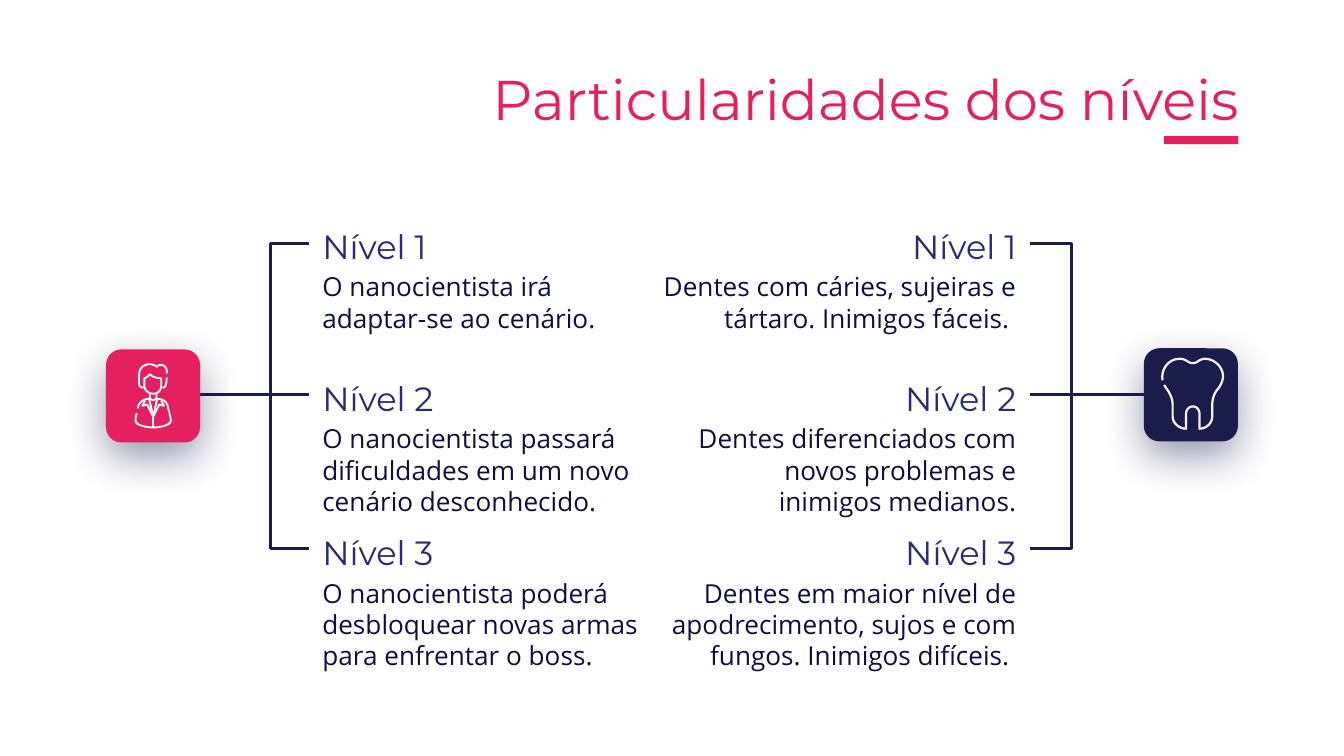
from lxml import etree
from pptx import Presentation
from pptx.dml.color import RGBColor as Rgb
from pptx.enum.shapes import MSO_CONNECTOR as Conn, MSO_SHAPE as Shape
from pptx.enum.text import MSO_ANCHOR as Anchor, MSO_AUTO_SIZE as Fit, PP_ALIGN as Align
from pptx.oxml.ns import qn
from pptx.util import Pt

HUE = {"pink": "E5205E", "navy": "1A1C49", "head": "292C73", "body": "0D0F41",
       "white": "FFFFFF", "pale": "F3F3F3"}
TITLE = {"size": Pt(30), "name": "Montserrat"}
HEAD = {"size": Pt(18), "name": "Montserrat"}
BODY = {"size": Pt(14), "name": "Open Sans"}
FRAME = {"word_wrap": True, "auto_size": Fit.NONE, "margin_left": Pt(7.2),
         "margin_right": Pt(7.2), "margin_top": Pt(7.2), "margin_bottom": Pt(7.2)}

ROWS = (110.2, 191.5, 274.2)
DROP = 27.7  # from the top of a heading to the top of its text
SPINE = (130.3, 211.5, 294)  # top, middle and foot of a bracket

# Each level: heading width, text width, text height, text
HERO = [
    (150, 186, 50, "O nanocientista irá adaptar-se ao cenário."),
    (143, 186, 50, "O nanocientista passará dificuldades em um novo cenário desconhecido."),
    (123, 191.5, 59, "O nanocientista poderá desbloquear novas armas para enfrentar o boss."),
]
TEETH = [
    (143, 207.4, 45, "Dentes com cáries, sujeiras e tártaro. Inimigos fáceis. "),
    (150, 191.5, 50, "Dentes diferenciados com novos problemas e inimigos medianos."),
    (123, 207.4, 69, "Dentes em maior nível de apodrecimento, sujos e com fungos. Inimigos difíceis. "),
]

# Strokes: a start point, then line ends (2 numbers) or Bézier curves (6 numbers)
TOOTH = [
    [(2.5, 17), (1, 9, 7, 1, 15, 1), (18, 1, 20, 2, 22, 3.5), (24, 4.5, 26, 4.5, 28, 3.5),
     (30, 2, 32, 1, 34, 1), (41, 1, 47.5, 7, 47.5, 14), (47.5, 17, 46, 20, 44.5, 22.5),
     (41, 26, 39.5, 31, 39.5, 35), (39.5, 44), (39.5, 49, 35, 53, 30, 53), (30, 42),
     (30, 39, 28, 36.5, 25, 36.5), (22, 36.5, 20, 39, 20, 42), (20, 53),
     (15, 53, 10, 49, 10, 44), (10, 35), (10, 30.5, 8, 26.5, 5, 22.5), (3.7, 20.5)],
]
PERSON = [
    [(24, 11), (24, 13, 24, 14, 23.5, 16), (23.5, 17.5, 22, 18.5, 21, 18.5)],
    [(24, 8), (25, 4, 22, 1.5, 20, 1.5), (18.5, 1.5, 17.5, 2, 16.5, 3),
     (15.5, 1.8, 13, 1, 11.5, 1), (7, 1, 3.5, 4, 3.5, 9), (3.5, 16),
     (3.7, 17.5, 5, 18.5, 7, 18.5)],
    [(7.5, 11.5), (9, 11, 11.5, 9, 11.5, 8.5), (13, 10, 16, 11.5, 20, 11.5), (20, 17),
     (20, 20.5, 17.5, 23, 14, 23), (10.5, 23, 7.5, 20.5, 7.5, 17), (7.5, 11.5)],
    [(11.5, 22), (11.5, 26.5), (14, 28), (16.5, 26.5), (16.5, 22)],
    [(2.5, 34), (3, 30, 6, 27, 11, 26.7), (14, 40), (17, 26.7),
     (21, 26.7, 24.5, 29, 25, 33), (27, 41), (27.3, 43, 27, 44.5, 25.5, 45.5),
     (19, 49, 9, 49, 2.5, 45.5), (1, 44.5, 0.7, 43, 1, 41), (1.8, 37.5)],
    [(8, 28), (6, 32), (9.5, 31), (14, 40), (18.5, 31), (22, 32), (20, 28)],
    [(14, 40), (14, 48)],
]


def color(key):
    return Rgb.from_string(HUE[key])


def apply(item, look):
    for key, val in look.items():
        setattr(item, key, val)


def write(shape, text, look, hue, align, anchor=Anchor.TOP, space=None):
    frame = shape.text_frame
    apply(frame, FRAME | {"vertical_anchor": anchor})
    para = frame.paragraphs[0]
    apply(para, {"alignment": align, "line_spacing": space})
    run = para.add_run()
    run.text = text
    apply(run.font, look)
    run.font.color.rgb = color(hue)


def fill(shape, hue):
    shape.shadow.inherit = False
    shape.fill.solid()
    shape.fill.fore_color.rgb = color(hue)
    shape.line.fill.background()


def trace(stroke):
    """Turn a stroke into a list of points, with each curve sampled."""
    pts = [stroke[0]]
    for seg in stroke[1:]:
        if len(seg) == 2:
            pts.append(seg)
            continue
        ctrl = [pts[-1], seg[:2], seg[2:4], seg[4:]]
        for step in range(1, 9):
            t = step / 8
            part = ((1 - t) ** 3, 3 * t * (1 - t) ** 2, 3 * t * t * (1 - t), t ** 3)
            pts.append(tuple(sum(w * p[i] for w, p in zip(part, ctrl)) for i in (0, 1)))
    return pts


def draw(slide, strokes, hue, width, x=0, y=0, unit=1):
    """Draw open strokes as one outline, with its origin at x, y."""
    lines = [[(Pt(a * unit), Pt(b * unit)) for a, b in trace(s)] for s in strokes]
    pen = slide.shapes.build_freeform(*lines[0][0])
    for line in lines:
        pen.move_to(*line[0])
        pen.add_line_segments(line[1:], close=False)
    shape = pen.convert_to_shape(Pt(x), Pt(y))
    shape.shadow.inherit = False
    shape.fill.background()
    shape.line.color.rgb = color(hue)
    shape.line.width = Pt(width)


def title(slide, x, y, w, h):
    head = slide.shapes.title
    apply(head, {"left": Pt(x), "top": Pt(y), "width": Pt(w), "height": Pt(h)})
    write(head, "Particularidades dos níveis", TITLE, "pink", Align.RIGHT)
    bar = slide.shapes.add_shape(Shape.RECTANGLE, Pt(x + w - 47.5), Pt(72.9), Pt(40), Pt(4.4))
    fill(bar, "pink")


def levels(slide, edge, data, right=False):
    """Stack the levels, flush with the given edge."""
    align = Align.RIGHT if right else Align.LEFT

    def box(y, w, h):
        return slide.shapes.add_textbox(Pt(edge - w * right), Pt(y), Pt(w), Pt(h))

    for num, (y, (wide, w, h, text)) in enumerate(zip(ROWS, data), 1):
        write(box(y, wide, 39.6), f"Nível {num}", HEAD, "head", align, Anchor.BOTTOM)
        write(box(y + DROP, w, h), text, BODY, "body", align, space=Pt(16.8))


def bracket(slide, edge, spine, far):
    """Join the levels at edge, and run the middle arm on to far."""
    top, mid, foot = SPINE
    draw(slide, [[(edge, top), (spine, top), (spine, foot), (edge, foot)]], "navy", 1.5)
    arm = slide.shapes.add_connector(Conn.STRAIGHT, Pt(edge), Pt(mid), Pt(far), Pt(mid))
    arm.line.color.rgb = color("navy")
    arm.line.width = Pt(1.5)
    etree.SubElement(arm._element.spPr, qn("a:effectLst"))


def badge(slide, x, y, hue):
    tile = slide.shapes.add_shape(Shape.ROUNDED_RECTANGLE, Pt(x), Pt(y), Pt(50.4), Pt(49.9))
    tile.adjustments[0] = 0.167
    fill(tile, hue)
    glow = etree.SubElement(tile._element.spPr.find(qn("a:effectLst")), qn("a:outerShdw"),
                            blurRad=str(Pt(22.5)), dist=str(Pt(8.2)), dir="5400000",
                            algn="bl", rotWithShape="0")
    tint = etree.SubElement(glow, qn("a:srgbClr"), val=HUE["navy"])
    etree.SubElement(tint, qn("a:alpha"), val="43000")


def main():
    deck = Presentation()
    deck.slide_width, deck.slide_height = Pt(720), Pt(405)
    slide = deck.slides.add_slide(deck.slide_layouts[5])
    title(slide, 183.6, 27.4, 487.4, 49.7)
    bracket(slide, 165.6, 145, 74)
    bracket(slide, 551.6, 574, 613)
    levels(slide, 165.6, HERO)
    levels(slide, 551.6, TEETH, right=True)
    badge(slide, 56.8, 187.2, "pink")
    badge(slide, 612.8, 186.6, "navy")
    draw(slide, PERSON, "white", 1, 72, 194.4, 0.72)
    draw(slide, TOOTH, "pale", 1.2, 621, 191.5, 0.72)
    deck.save("out.pptx")


if __name__ == "__main__":
    main()
